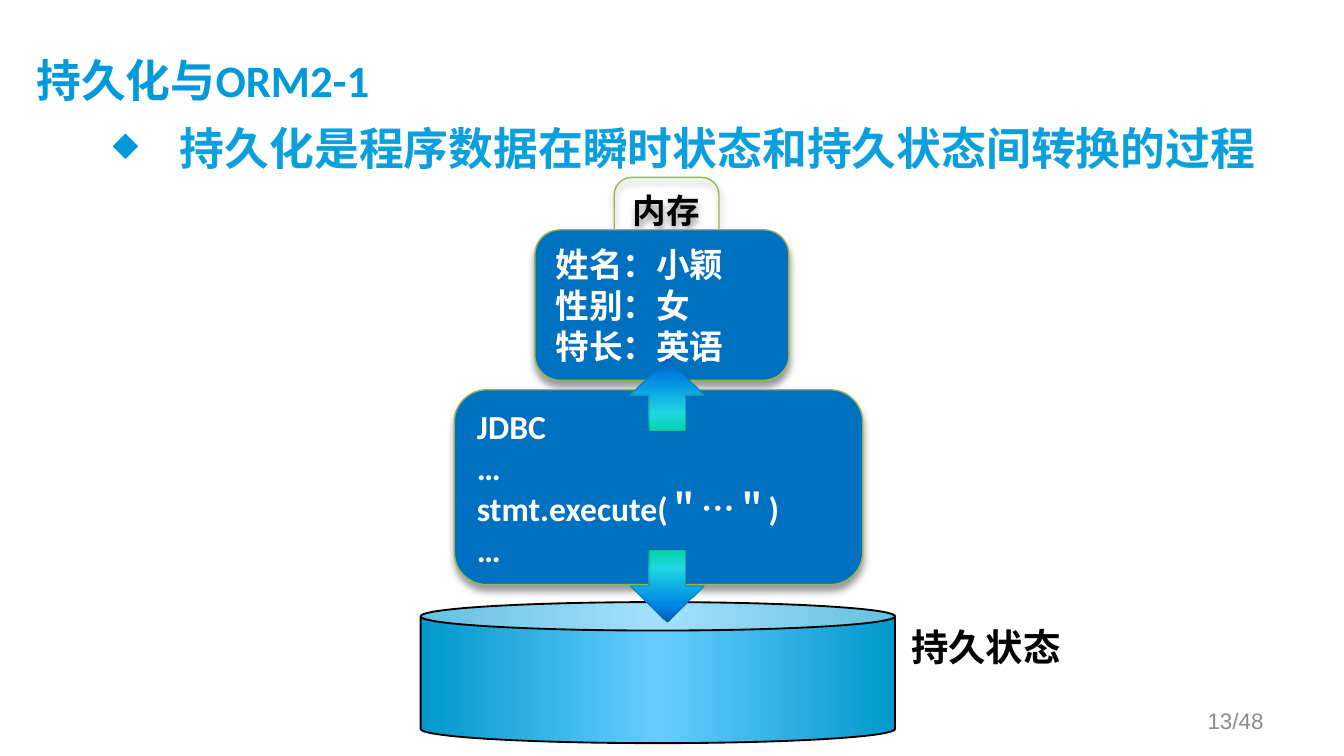
from dataclasses import dataclass, field
from typing import Any
from lxml.etree import SubElement, fromstring
from pptx import Presentation
from pptx.dml.color import RGBColor
from pptx.enum.shapes import MSO_SHAPE as Kind
from pptx.enum.text import MSO_ANCHOR as Anchor, PP_ALIGN as Align
from pptx.oxml.ns import nsdecls, qn
from pptx.util import Inches, Pt

HAN = "Noto Sans CJK SC"
SKY = ((0, "0099CC"), (50, "66CCFF"), (100, "0099CC"))
SEA = ((0, "03D4A8"), (25, "21D6E0"), (75, "0087E6"), (100, "005CBF"))


@dataclass
class Words:
    lines: tuple[str, ...]
    size: float
    face: str
    tint: str
    bold: bool = True
    look: dict[str, Any] = field(default_factory=dict)
    align: Any = Align.LEFT
    mark: str = ""


@dataclass
class Block:
    spot: tuple[float, float, float, float]
    kind: Any
    edge: str
    width: float = 0.75
    fill: str = ""
    blend: tuple[tuple[int, str], ...] = ()
    angle: int = 0
    alpha: int = 100
    shade: bool = False
    turn: int = 0
    bend: float | None = None
    words: Words | None = None


def hue(code: str) -> RGBColor:
    return RGBColor.from_string(code)


def apply(item: Any, look: dict[str, Any]) -> None:
    for key, value in look.items():
        setattr(item, key, value)


def add_mark(para: Any, mark: str, tint: str) -> None:
    props = para._p.get_or_add_pPr()
    props.set("marL", str(Inches(0.5)))
    props.set("indent", str(-Inches(0.5)))
    shade = SubElement(props, qn("a:buClr"))
    SubElement(shade, qn("a:srgbClr"), val=tint)
    SubElement(props, qn("a:buSzPct"), val="75000")
    SubElement(props, qn("a:buChar"), char=mark)


def write(frame: Any, words: Words) -> None:
    apply(frame, {"word_wrap": True, "vertical_anchor": Anchor.MIDDLE} | words.look)
    for i, line in enumerate(words.lines):
        para = frame.paragraphs[0] if i == 0 else frame.add_paragraph()
        if words.mark:
            add_mark(para, words.mark, "0099D8")
        apply(para, {"alignment": words.align, "line_spacing": Pt(words.size * 1.22)})
        run = para.add_run()
        apply(run, {"text": line})
        apply(run.font, {"size": Pt(words.size), "name": words.face, "bold": words.bold})
        run.font.color.rgb = hue(words.tint)
        SubElement(run._r.get_or_add_rPr(), qn("a:ea"), typeface=HAN)


def add_blend(shape: Any, stops: tuple[tuple[int, str], ...], angle: int) -> None:
    marks = "".join(
        f'<a:gs pos="{at * 1000}"><a:srgbClr val="{code}"/></a:gs>' for at, code in stops
    )
    blend = fromstring(
        f'<a:gradFill {nsdecls("a")} rotWithShape="1"><a:gsLst>{marks}</a:gsLst>'
        f'<a:lin ang="{angle * 60000}" scaled="0"/></a:gradFill>'
    )
    props = shape._element.spPr
    props.replace(props.find(qn("a:noFill")), blend)


def add_shade(shape: Any) -> None:
    root = shape._element.spPr.find(qn("a:effectLst"))
    shade = SubElement(
        root, qn("a:outerShdw"), blurRad=str(Pt(4)), dist=str(Pt(3)),
        dir="5400000", rotWithShape="0",
    )
    tint = SubElement(shade, qn("a:srgbClr"), val="000000")
    SubElement(tint, qn("a:alpha"), val="40000")


def draw(slide: Any, block: Block) -> None:
    shape = slide.shapes.add_shape(block.kind, *map(Inches, block.spot))
    apply(shape, {"rotation": block.turn})
    shape.shadow.inherit = False
    if block.bend is not None:
        shape.adjustments[0] = block.bend
    if block.fill:
        shape.fill.solid()
        shape.fill.fore_color.rgb = hue(block.fill)
    else:
        shape.fill.background()
    if block.blend:
        add_blend(shape, block.blend, block.angle)
    shape.line.color.rgb = hue(block.edge)
    shape.line.width = Pt(block.width)
    if block.alpha < 100:
        tint = shape.line._ln.find(".//" + qn("a:srgbClr"))
        SubElement(tint, qn("a:alpha"), val=str(block.alpha * 1000))
    if block.shade:
        add_shade(shape)
    if block.words:
        write(shape.text_frame, block.words)


def label(slide: Any, spot: tuple[float, float, float, float], words: Words) -> None:
    box = slide.shapes.add_textbox(*map(Inches, spot))
    write(box.text_frame, words)


def card(spot: tuple[float, float, float, float], words: Words, fill: str = "") -> Block:
    return Block(spot, Kind.ROUNDED_RECTANGLE, "95B74F", fill=fill, shade=True,
                 bend=0.167, words=words)


def arrow(top: float, turn: int = 0) -> Block:
    return Block((4.69, top, 0.55, 0.54), Kind.DOWN_ARROW, "215968", blend=SEA,
                 angle=90, alpha=31, turn=turn)


def main() -> None:
    deck = Presentation()
    wide = Inches(10)
    apply(deck, {"slide_width": wide, "slide_height": wide * 9 // 16})
    slide = deck.slides.add_slide(deck.slide_layouts[6])
    high = {"vertical_anchor": Anchor.TOP}

    label(slide, (0.27, 0.23, 8.95, 0.77), Words(
        ("持久化与ORM2-1",), 24, "Calibri", "0099D9",
        look={"margin_left": 0, "margin_top": 0}))
    label(slide, (0.74, 0.84, 8.76, 3.98), Words(
        ("持久化是程序数据在瞬时状态和持久状态间转换的过程",), 24, "Calibri", "0B9FDD",
        look=high, mark="◆"))

    blocks = (
        card((4.57, 1.32, 0.78, 0.78), Words(
            ("内存",), 18, HAN, "000000", look=high | {"word_wrap": False})),
        card((3.98, 1.71, 1.89, 1.12), Words(
            ("姓名：小颖", "性别：女", "特长：英语"), 18, HAN, "FFFFFF"), "0070C0"),
        card((3.38, 2.9, 3.04, 1.45), Words(
            ("JDBC", "…", "stmt.execute(＂…＂)", "…"), 18, "Calibri", "FFFFFF"), "0070C0"),
        Block((3.13, 4.48, 3.53, 1.05), Kind.CAN, "000000", 1, blend=SKY, bend=0.202),
        arrow(4.09),
        arrow(2.67, 180),
    )
    for block in blocks:
        draw(slide, block)

    label(slide, (6.68, 4.59, 2.18, 0.53), Words(
        ("持久状态",), 20, HAN, "000000", look=high))
    label(slide, (7.17, 5.21, 2.33, 0.3), Words(
        ("13/48",), 12, "Arial", "8C8C8C", bold=False, align=Align.RIGHT))
    deck.save("out.pptx")


if __name__ == "__main__":
    main()
